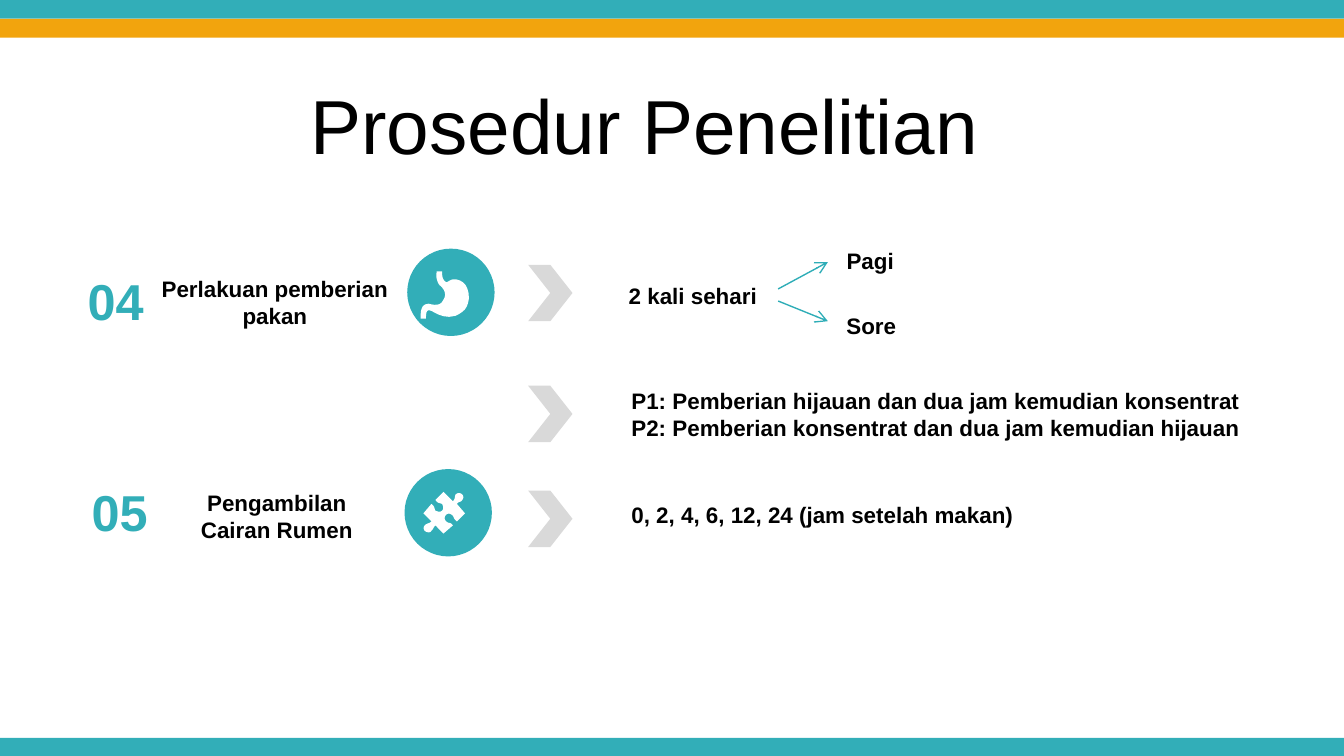
from typing import NamedTuple

from lxml import etree
from pptx import Presentation
from pptx.dml.color import RGBColor
from pptx.enum.shapes import MSO_CONNECTOR, MSO_SHAPE
from pptx.enum.text import MSO_ANCHOR, MSO_AUTO_SIZE, PP_ALIGN
from pptx.oxml.ns import qn
from pptx.util import Inches, Pt

TEAL = RGBColor(0x32, 0xAE, 0xB8)
ARROW = RGBColor(0x2E, 0xAD, 0xB7)
AMBER = RGBColor(0xF2, 0xA4, 0x0D)
GRAY = RGBColor(0xD9, 0xD9, 0xD9)
BLACK = RGBColor(0, 0, 0)
WHITE = RGBColor(0xFF, 0xFF, 0xFF)

RECT = MSO_SHAPE.RECTANGLE
OVAL = MSO_SHAPE.OVAL
CHEVRON = MSO_SHAPE.CHEVRON
STRAIGHT = MSO_CONNECTOR.STRAIGHT
LEFT = PP_ALIGN.LEFT
CENTER = PP_ALIGN.CENTER
MIDDLE = MSO_ANCHOR.MIDDLE
GROW = MSO_AUTO_SIZE.SHAPE_TO_FIT_TEXT
FIXED = MSO_AUTO_SIZE.NONE

FONT = "Arial"
STEPS = 6
BAR = 0.14


class Box(NamedTuple):
    left: float
    top: float
    width: float
    height: float


class Shape(NamedTuple):
    kind: int
    box: Box
    color: RGBColor


class Label(NamedTuple):
    text: str
    box: Box
    align: int = LEFT
    size: float = 12
    color: RGBColor = BLACK


class Line(NamedTuple):
    start: tuple
    end: tuple


SHAPES = [
    Shape(RECT, Box(0, 5.49, 10, BAR), TEAL),
    Shape(RECT, Box(0, 0, 10, BAR), TEAL),
    Shape(RECT, Box(0, BAR, 10, BAR), AMBER),
    Shape(OVAL, Box(3.03, 1.85, 0.65, 0.65), TEAL),
    Shape(OVAL, Box(3.01, 3.49, 0.65, 0.65), TEAL),
    *[Shape(CHEVRON, Box(3.93, top, 0.33, 0.42), GRAY) for top in (1.97, 2.87, 3.65)],
]

LABELS = [
    Label("04", Box(0.54, 1.97, 0.64, 0.53), CENTER, 27, TEAL),
    Label("Perlakuan pemberian pakan", Box(1, 2.01, 2.09, 0.48), CENTER),
    Label("2 kali sehari", Box(4.58, 2.05, 1.16, 0.45)),
    Label("Pagi", Box(6.2, 1.79, 0.65, 0.45)),
    Label("Sore", Box(6.2, 2.27, 0.64, 0.45)),
    Label(
        "P1: Pemberian hijauan dan dua jam kemudian konsentrat\n"
        "P2: Pemberian konsentrat dan dua jam kemudian hijauan",
        Box(4.6, 2.83, 5.04, 0.66),
    ),
    Label("05", Box(0.56, 3.54, 0.66, 0.53), CENTER, 27, TEAL),
    Label("Pengambilan Cairan Rumen", Box(1.19, 3.6, 1.74, 0.48), CENTER),
    Label("0, 2, 4, 6, 12, 24 (jam setelah makan)", Box(4.6, 3.68, 5.04, 0.45)),
]

LINES = [
    Line((5.79, 2.15), (6.16, 1.95)),
    Line((5.79, 2.24), (6.16, 2.39)),
]

STOMACH = [
    (3.25, 2.02), (3.29, 2.02),
    (3.29, 2.05, 3.29, 2.08, 3.32, 2.1), (3.34, 2.1, 3.35, 2.07, 3.4, 2.08),
    (3.45, 2.09, 3.49, 2.13, 3.49, 2.22), (3.48, 2.3, 3.45, 2.32, 3.39, 2.35),
    (3.29, 2.38, 3.22, 2.31, 3.2, 2.31), (3.17, 2.3, 3.17, 2.34, 3.17, 2.37),
    (3.13, 2.37),
    (3.13, 2.32, 3.13, 2.26, 3.19, 2.26), (3.23, 2.27, 3.28, 2.28, 3.3, 2.23),
    (3.32, 2.2, 3.32, 2.16, 3.27, 2.12), (3.26, 2.11, 3.24, 2.07, 3.25, 2.02),
]

PUZZLE = [
    (3.44, 3.68),
    (3.45, 3.69, 3.45, 3.71, 3.44, 3.72), (3.43, 3.74, 3.41, 3.73, 3.4, 3.75),
    (3.46, 3.82), (3.4, 3.88),
    (3.37, 3.86, 3.38, 3.84, 3.36, 3.83), (3.35, 3.82, 3.33, 3.82, 3.32, 3.83),
    (3.31, 3.84, 3.3, 3.86, 3.32, 3.88), (3.34, 3.9, 3.35, 3.88, 3.37, 3.91),
    (3.3, 3.97), (3.24, 3.91),
    (3.22, 3.93, 3.23, 3.93, 3.21, 3.95), (3.2, 3.97, 3.17, 3.96, 3.16, 3.95),
    (3.15, 3.94, 3.15, 3.92, 3.16, 3.91), (3.18, 3.89, 3.19, 3.9, 3.21, 3.88),
    (3.15, 3.82), (3.21, 3.75),
    (3.24, 3.77, 3.23, 3.79, 3.24, 3.8), (3.26, 3.81, 3.28, 3.81, 3.29, 3.8),
    (3.3, 3.79, 3.3, 3.77, 3.29, 3.75), (3.27, 3.74, 3.26, 3.75, 3.24, 3.72),
    (3.3, 3.66), (3.37, 3.73),
    (3.39, 3.71, 3.38, 3.7, 3.39, 3.68), (3.41, 3.66, 3.43, 3.67, 3.44, 3.68),
]


def place(box: Box) -> list:
    return [Inches(side) for side in box]


def paint(shape, color: RGBColor) -> None:
    shape.shadow.inherit = False
    shape.fill.solid()
    shape.fill.fore_color.rgb = color
    shape.line.fill.background()


def write(frame, label: Label, bold: bool) -> None:
    frame.word_wrap = True
    frame.text = label.text
    for para in frame.paragraphs:
        para.alignment = label.align
        for run in para.runs:
            run.font.name = FONT
            run.font.size = Pt(label.size)
            run.font.bold = bold
            run.font.color.rgb = label.color


def inset(frame) -> None:
    frame.margin_left = frame.margin_right = Inches(0.07)
    frame.margin_top = frame.margin_bottom = Inches(0.04)


def draw_title(slide) -> None:
    label = Label("Prosedur Penelitian", Box(2.24, 0.63, 7.76, 0.59), LEFT, 41)
    title = slide.shapes.title
    title.left, title.top, title.width, title.height = place(label.box)
    frame = title.text_frame
    inset(frame)
    frame.auto_size = FIXED
    frame.vertical_anchor = MIDDLE
    write(frame, label, False)


def draw_label(slide, label: Label) -> None:
    frame = slide.shapes.add_textbox(*place(label.box)).text_frame
    if label.align == CENTER:
        inset(frame)
    write(frame, label, True)
    frame.auto_size = GROW


def draw_line(slide, line: Line) -> None:
    ends = [Inches(side) for side in line.start + line.end]
    wire = slide.shapes.add_connector(STRAIGHT, *ends)
    wire.line.color.rgb = ARROW
    wire.line.width = Pt(0.75)
    props = wire._element.spPr
    etree.SubElement(props.find(qn("a:ln")), qn("a:tailEnd"), type="arrow")
    etree.SubElement(props, qn("a:effectLst"))


def draw_icon(slide, parts: list) -> None:
    x, y = parts[0]
    pen = slide.shapes.build_freeform(Inches(x), Inches(y))
    for part in parts[1:]:
        spots = [part]
        if len(part) == 6:
            a, b, c, d, e, f = part
            spots = []
            for step in range(1, STEPS + 1):
                t = step / STEPS
                u = 1 - t
                mix = (u**3, 3 * u * u * t, 3 * u * t * t, t**3)
                spots.append([sum(m * v for m, v in zip(mix, axis))
                              for axis in ((x, a, c, e), (y, b, d, f))])
        pen.add_line_segments([(Inches(h), Inches(v)) for h, v in spots], close=False)
        x, y = part[-2:]
    pen.add_line_segments([], close=True)
    paint(pen.convert_to_shape(), WHITE)


def main() -> None:
    deck = Presentation()
    deck.slide_width = Inches(10)
    deck.slide_height = deck.slide_width * 9 // 16
    slide = deck.slides.add_slide(deck.slide_layouts[5])
    draw_title(slide)
    for item in SHAPES:
        paint(slide.shapes.add_shape(item.kind, *place(item.box)), item.color)
    for icon in (STOMACH, PUZZLE):
        draw_icon(slide, icon)
    for line in LINES:
        draw_line(slide, line)
    for label in LABELS:
        draw_label(slide, label)
    deck.save("out.pptx")


if __name__ == "__main__":
    main()
